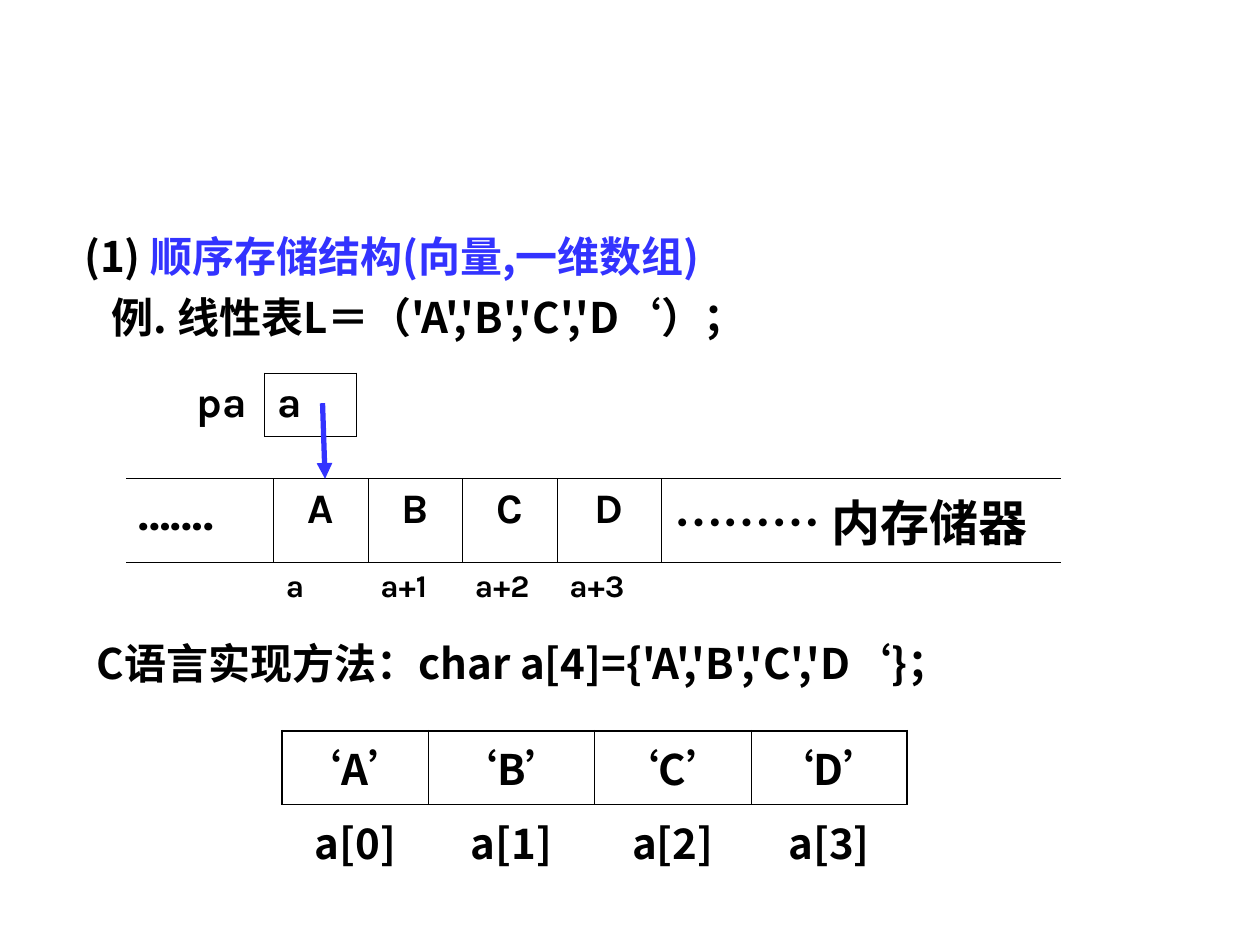
from lxml import etree
from pptx import Presentation, util as u
from pptx.dml.color import RGBColor
from pptx.enum import shapes, text
from pptx.oxml.ns import qn

CJK, KARLA = "Noto Sans CJK SC", "Karla"
BLACK, BLUE = "000000", "3333FF"
THIN, THICK = 0.45, 1.08
CENTER, LEFT = text.PP_ALIGN.CENTER, text.PP_ALIGN.LEFT

HEADING = [
    (0, [("(1) ", BLACK), ("顺序存储结构(向量,一维数组)", BLUE)]),
    (0.22, [("例. 线性表L＝（'A','B','C','D‘）；", BLACK)]),
]
C_LINE = [(0, [("C语言实现方法：char a[4]={'A','B','C','D‘}；", BLACK)])]
LETTERS = "ABCD"
ARRAY = [[f"‘{c}’" for c in LETTERS], [f"a[{i}]" for i in range(4)]]
MEMORY = [
    ["…….", *LETTERS, [("……… ", KARLA), ("内存储器", "Arial")]],
    ["", "a", "a+1", "a+2", "a+3", ""],
]
POINTER = [["pa", "a"]]


def color(value):
    return RGBColor.from_string(value)


def add_run(p, words, size, font, fill=BLACK):
    r = p.add_run()
    r.text = words
    for name, value in dict(size=u.Pt(size), name=font, bold=True).items():
        setattr(r.font, name, value)
    r.font.color.rgb = color(fill)
    ea = etree.SubElement(r.font._element, qn("a:ea"))
    ea.set("typeface", CJK)


def add_text(s, box, paragraphs, before=0):
    tf = s.shapes.add_textbox(*map(u.Inches, box)).text_frame
    tf.word_wrap = True
    for i, (indent, runs) in enumerate(paragraphs):
        p = tf.paragraphs[0] if i == 0 else tf.add_paragraph()
        p.space_before = u.Pt(before)
        p._p.get_or_add_pPr().set("marL", str(u.Inches(indent)))
        for words, fill in runs:
            add_run(p, words, 24, CJK, fill)


def set_borders(cell, widths):
    tc_pr = cell._tc.get_or_add_tcPr()
    for i, side in enumerate("LRTB"):
        ln = etree.Element(qn(f"a:ln{side}"))
        if widths.get(side):
            ln.set("w", str(u.Pt(widths[side])))
            fill = etree.SubElement(ln, qn("a:solidFill"))
            etree.SubElement(fill, qn("a:srgbClr")).set("val", BLACK)
        else:
            etree.SubElement(ln, qn("a:noFill"))
        tc_pr.insert(i, ln)


def add_table(s, left, top, cols, heights, rows, style, borders):
    box = map(u.Inches, (left, top, sum(cols), sum(heights)))
    table = s.shapes.add_table(len(rows), len(cols), *box).table
    table.first_row = table.horz_banding = False
    for col, width in zip(table.columns, cols):
        col.width = u.Inches(width)
    for i, (row, height) in enumerate(zip(rows, heights)):
        table.rows[i].height = u.Inches(height)
        for j, content in enumerate(row):
            cell = table.cell(i, j)
            cell.fill.background()
            size, font, align, before = style(i, j)
            p = cell.text_frame.paragraphs[0]
            p.alignment, p.space_before = align, u.Pt(before)
            p.font.size = u.Pt(size)
            runs = [(content, font)] if isinstance(content, str) else content
            for words, face in runs:
                if words:
                    add_run(p, words, size, face)
            set_borders(cell, borders(i, j))


def array_borders(i, j):
    if i:
        return {"T": THICK}
    return dict(L=THIN if j else THICK, R=THICK if j == 3 else THIN, T=THICK, B=THICK)


def memory_style(i, j):
    if i:
        return 18, KARLA, LEFT, 4.5
    return (28, KARLA, LEFT, 7) if j in (0, 5) else (24, KARLA, CENTER, 6)


def memory_borders(i, j):
    if i:
        return {"T": THIN}
    return dict(L=THIN if j else 0, R=THIN if j < 5 else 0, T=THIN, B=THIN)


def add_arrow(s, start, end):
    line = s.shapes.add_connector(shapes.MSO_CONNECTOR.STRAIGHT, *map(u.Inches, start + end))
    line.line.color.rgb = color(BLUE)
    line.line.width = u.Pt(3)
    ln = line.line._get_or_add_ln()
    etree.SubElement(ln, qn("a:tailEnd")).set("type", "triangle")
    etree.SubElement(line._element.spPr, qn("a:effectLst"))


def main():
    prs = Presentation()
    prs.slide_width, prs.slide_height = u.Inches(10), u.Inches(7.5)
    s = prs.slides.add_slide(prs.slide_layouts[6])
    add_table(s, 2.24, 5.8, [1.16, 1.32, 1.24, 1.24], [0.5] * 2, ARRAY,
              lambda i, j: (24, CJK, CENTER, 6), array_borders)
    add_table(s, 1, 3.8, [1.17, 0.75, 0.75, 0.75, 0.83, 3.17], [0.63, 0.62], MEMORY,
              memory_style, memory_borders)
    add_table(s, 1.46, 2.96, [0.64, 0.73], [0.5], POINTER,
              lambda i, j: (24, KARLA, LEFT, 6),
              lambda i, j: dict.fromkeys("LRTB", THIN) if j else {"R": THIN})
    add_arrow(s, (2.56, 3.2), (2.58, 3.8))
    add_text(s, (0.67, 5.01, 8.82, 0.5), C_LINE)
    add_text(s, (0.57, 1.78, 8.37, 1.34), HEADING, 6)
    prs.save("out.pptx")


if __name__ == "__main__":
    main()
